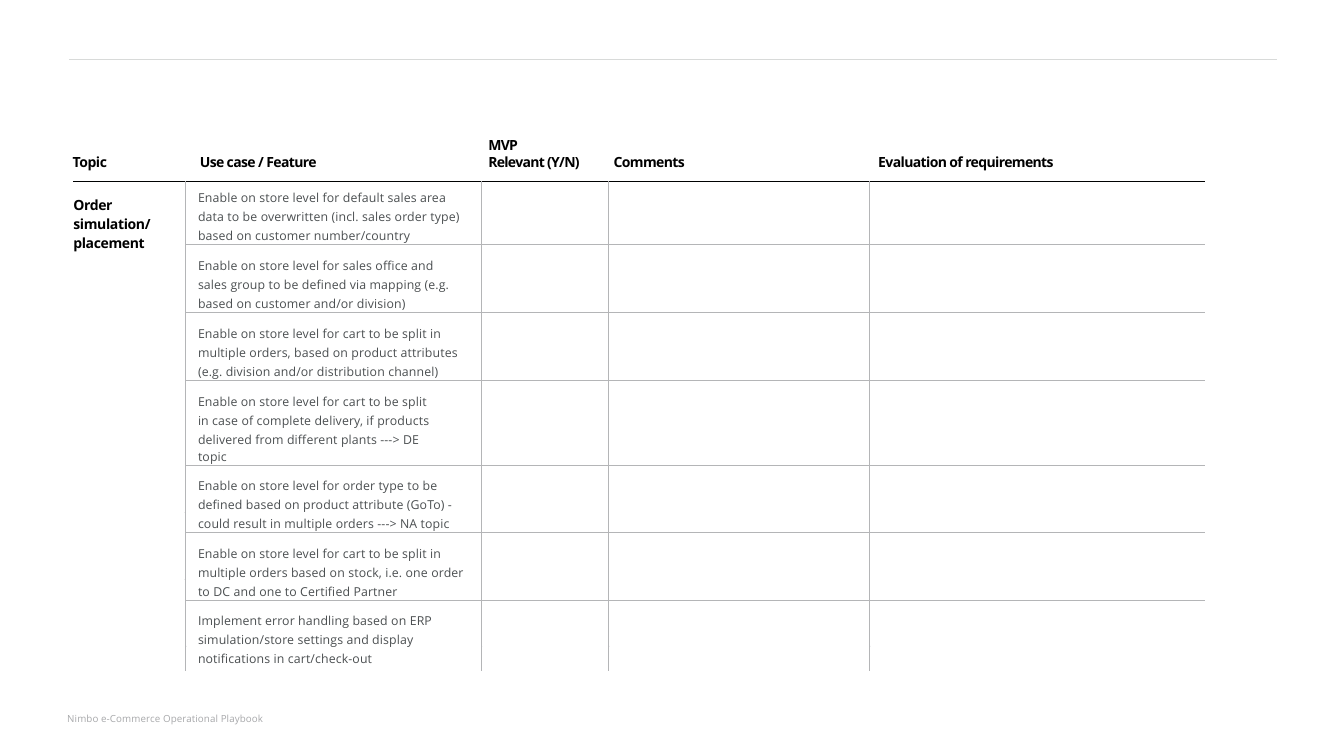
from lxml.etree import SubElement
from pptx import Presentation
from pptx.dml.color import RGBColor
from pptx.enum.shapes import MSO_CONNECTOR, MSO_SHAPE
from pptx.oxml.ns import qn
from pptx.util import Inches, Pt

COLORS = {"ink": "000000", "body": "4B4F51", "grid": "B4B5B7",
          "header_rule": "000101", "top_rule": "D8DAD9", "footer": "A7A8AA"}
FONT = "Open Sans"
TABLE_LEFT, TABLE_TOP = 1.2, 2.96
COLUMN_WIDTHS = [1.84, 4.83, 2.09, 4.26, 5.49]
ROW_HEIGHTS = [1.01, 1.1, 1.1, 1.11, 1.1, 1.1, 1.08]
# left, top, width, height, lines, letter spacing
HEADINGS = [
    (1.18, 2.51, 0.62, 0.3, ["Topic"], -0.5),
    (3.26, 2.51, 2.07, 0.3, ["Use case / Feature"], -0.7),
    (7.98, 2.23, 1.61, 0.58, ["MVP", "Relevant (Y/N)"], -0.8),
    (10.03, 2.51, 1.24, 0.3, ["Comments"], -0.7),
    (14.36, 2.51, 3.07, 0.3, ["Evaluation of requirements"], -0.7),
]
# top inset, right inset, paragraphs
USE_CASES = [
    (0.1, 0.18, ["Enable on store level for default sales area data to be overwritten "
                 "(incl. sales order type) based on customer number/country"]),
    (0.18, 0.33, ["Enable on store level for sales office and sales group to be defined "
                  "via mapping (e.g. based on customer and/or division)"]),
    (0.18, 0.18, ["Enable on store level for cart to be split in multiple orders, based on "
                  "product attributes (e.g. division and/or distribution channel)"]),
    (0.18, 0.73, ["Enable on store level for cart to be split in case of complete delivery, "
                  "if products", "delivered from different plants ---> DE topic"]),
    (0.17, 0.18, ["Enable on store level for order type to be defined based on product "
                  "attribute (GoTo) - could result in multiple orders ---> NA topic"]),
    (0.17, 0.18, ["Enable on store level for cart to be split in multiple orders based on "
                  "stock, i.e. one order to DC and one to Certified Partner"]),
    (0.17, 0.18, ["Implement error handling based on ERP simulation/store settings and "
                  "display notifications in cart/check-out"]),
]


def color(name):
    return RGBColor.from_string(COLORS[name])


def write(frame, lines, size, ink, bold=False, tracking=0.0):
    frame.text = "\n".join(lines)
    for paragraph in frame.paragraphs:
        for run in paragraph.runs:
            run.font.name, run.font.size, run.font.bold = FONT, Pt(size), bold
            run.font.color.rgb = color(ink)
            run.font._element.set("spc", str(round(tracking * 100)))


def set_insets(box, left=0.0, top=0.0, right=0.0):
    box.margin_left, box.margin_top = Inches(left), Inches(top)
    box.margin_right, box.margin_bottom = Inches(right), 0


def add_label(slide, left, top, width, height, lines, size, ink, bold, tracking, inset):
    frame = slide.shapes.add_textbox(
        Inches(left), Inches(top), Inches(width), Inches(height)).text_frame
    frame.word_wrap = True
    set_insets(frame, 0.01, inset)
    write(frame, lines, size, ink, bold, tracking)
    return frame


def set_borders(cell, **sides):
    """Draw the sides given a colour name and hide the others."""
    properties = cell._tc.get_or_add_tcPr()
    for side in "LRTB":
        name = sides.get(side)
        line = SubElement(properties, qn(f"a:ln{side}"), w=str(Pt(1)))
        if name:
            fill = SubElement(line, qn("a:solidFill"))
            SubElement(fill, qn("a:srgbClr"), val=COLORS[name])
        else:
            SubElement(line, qn("a:noFill"))


def add_top_rule(slide):
    rule = slide.shapes.add_connector(
        MSO_CONNECTOR.STRAIGHT, Inches(1.13), Inches(0.96), Inches(20.89), Inches(0.96))
    rule.line.color.rgb = color("top_rule")
    rule.line.width = Pt(0.1)
    SubElement(rule._element.spPr, qn("a:effectLst"))


def add_headings(slide):
    for left, top, width, height, lines, tracking in HEADINGS:
        frame = add_label(slide, left, top, width, height, lines, 16.5, "ink", True,
                          tracking, 0.01)
        if len(lines) > 1:
            for paragraph in frame.paragraphs:
                paragraph.line_spacing = Pt(19.8)


def add_requirements(slide):
    rows, columns = len(ROW_HEIGHTS), len(COLUMN_WIDTHS)
    table = slide.shapes.add_table(
        rows, columns, Inches(TABLE_LEFT), Inches(TABLE_TOP),
        Inches(sum(COLUMN_WIDTHS)), Inches(sum(ROW_HEIGHTS))).table
    table.first_row = table.horz_banding = False
    for column, width in zip(table.columns, COLUMN_WIDTHS):
        column.width = Inches(width)
    for r, height in enumerate(ROW_HEIGHTS):
        table.rows[r].height = Inches(height)
        for c in range(columns):
            cell = table.cell(r, c)
            inner_rule = "grid" if c else None
            set_borders(cell, L=inner_rule,
                        R="grid" if c < columns - 1 else None,
                        T=inner_rule if r else "header_rule",
                        B=inner_rule if r < rows - 1 else None)
            cell.fill.background()

    topic = table.cell(0, 0)
    topic.merge(table.cell(rows - 1, 0))
    set_insets(topic, top=0.24, right=0.58)
    write(topic.text_frame, ["Order simulation/ placement"], 16.5, "ink", True, -0.4)

    for r, (top, right, paragraphs) in enumerate(USE_CASES):
        use_case = table.cell(r, 1)
        set_insets(use_case, 0.2, top, right)
        write(use_case.text_frame, paragraphs, 14.5, "body", tracking=0.15)
        first, *others = use_case.text_frame.paragraphs
        first.line_spacing = 1.14
        for paragraph in others:
            paragraph.space_before = Pt(2.4)


def add_grid_dots(slide):
    column_ends = [(x, 10.57) for x in (3.04, 7.88, 9.96, 14.23)]
    row_ends = [(3.03, 7.28), (3.02, 8.38), (3.02, 9.48)]
    for left, top in column_ends + row_ends:
        dot = slide.shapes.add_shape(
            MSO_SHAPE.OVAL, Inches(left), Inches(top), Inches(0.01), Inches(0.01))
        dot.shadow.inherit = False
        dot.fill.solid()
        dot.fill.fore_color.rgb = color("grid")
        dot.line.fill.background()


def add_footer(slide):
    add_label(slide, 1.09, 11.63, 3.22, 0.25, ["Nimbo e-Commerce Operational Playbook"],
              11.5, "footer", False, 0.1, 0.03)


def main():
    deck = Presentation()
    deck.slide_width, deck.slide_height = Inches(21.99), Inches(12.37)
    slide = deck.slides.add_slide(deck.slide_layouts[6])
    add_top_rule(slide)
    add_requirements(slide)
    add_headings(slide)
    add_grid_dots(slide)
    add_footer(slide)
    deck.save("out.pptx")


if __name__ == "__main__":
    main()
